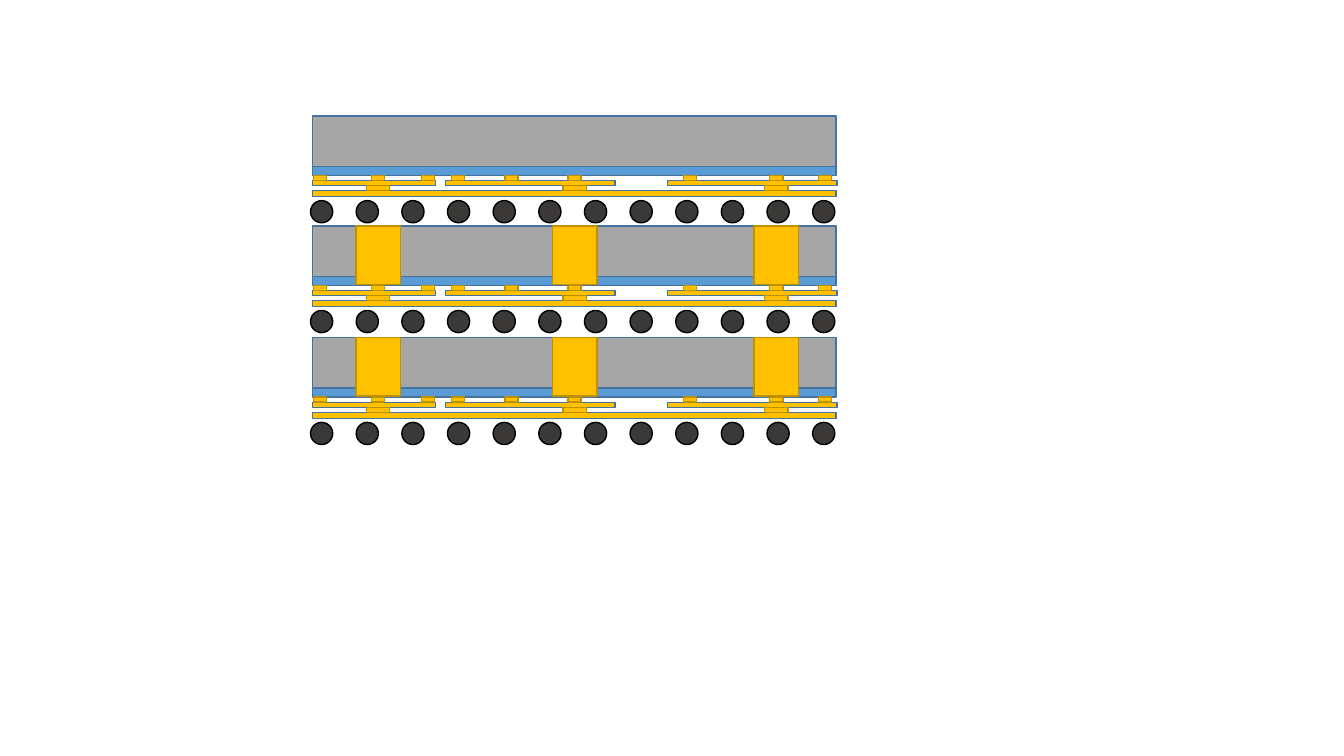
from dataclasses import dataclass

from pptx import Presentation
from pptx.dml.color import RGBColor
from pptx.enum.shapes import MSO_SHAPE
from pptx.util import Inches, Pt

RECT = MSO_SHAPE.RECTANGLE
OVAL = MSO_SHAPE.OVAL
BLANK_LAYOUT = 6


@dataclass(frozen=True)
class Theme:
    # Each style is a (fill, line) pair
    silicon: tuple = ("A6A6A6", "43739E")
    circuit: tuple = ("5B9BD5", "43739E")
    trace: tuple = ("FFC000", "43739E")
    copper: tuple = ("FFC000", "BF9000")
    solder: tuple = ("3B3838", "000000")
    line_width: float = 1


THEME = Theme()

# Stack of chips, in inches
STACK_LEFT, CHIP_WIDTH = 3.1, 5.19
TOP_CHIP, MIDDLE_CHIP, BOTTOM_CHIP = 1.15, 2.24, 3.35

# Parts of one chip, in inches from its top left corner
DIE_HEIGHT = 0.58
CIRCUIT_TOP, CIRCUIT_HEIGHT = 0.5, 0.09
PAD_TOP, TRACE_TOP, CONTACT_TOP, BASE_TOP = 0.59, 0.64, 0.69, 0.74
LAYER_HEIGHT, BASE_HEIGHT = 0.05, 0.06
TRACES = [(0, 1.22), (1.32, 1.68), (3.52, 1.68)]  # left, width
VIA_CENTRES = [0.65, 2.6, 4.6]
VIA_WIDTH, CONTACT_WIDTH, PAD_WIDTH = 0.44, 0.23, 0.13
SIDE_PADS = [0.01, 1.08, 1.38, 1.91, 3.68, 5.02]
BALL_COUNT, BALL_SIZE, BALL_TOP = 12, 0.22, 0.84
FIRST_BALL, LAST_BALL = -0.02, 4.96


def add_part(shapes, kind, left, top, width, height, style):
    part = shapes.add_shape(
        kind, Inches(left), Inches(top), Inches(width), Inches(height))
    fill, line = style
    part.shadow.inherit = False
    part.fill.solid()
    part.fill.fore_color.rgb = RGBColor.from_string(fill)
    part.line.color.rgb = RGBColor.from_string(line)
    part.line.width = Pt(THEME.line_width)


def add_chip(shapes, left, top, width, has_vias):
    def bar(x, y, bar_width, height, style):
        add_part(shapes, RECT, left + x, top + y, bar_width, height, style)

    # Die with its circuit layer
    bar(0, 0, width, DIE_HEIGHT, THEME.silicon)
    bar(0, CIRCUIT_TOP, width, CIRCUIT_HEIGHT, THEME.circuit)

    # Wiring below the die
    for x, trace_width in TRACES:
        bar(x, TRACE_TOP, trace_width, LAYER_HEIGHT, THEME.trace)
    bar(0, BASE_TOP, width, BASE_HEIGHT, THEME.trace)

    # Columns of via, pad and contact on a shared centre
    for centre in VIA_CENTRES:
        column = [(PAD_TOP, PAD_WIDTH, LAYER_HEIGHT),
                  (CONTACT_TOP, CONTACT_WIDTH, LAYER_HEIGHT)]
        if has_vias:
            column.insert(0, (0, VIA_WIDTH, DIE_HEIGHT))
        for y, part_width, height in column:
            bar(centre - part_width / 2, y, part_width, height, THEME.copper)

    # Pads between the columns
    for x in SIDE_PADS:
        bar(x, PAD_TOP, PAD_WIDTH, LAYER_HEIGHT, THEME.copper)

    # Row of solder balls
    pitch = (LAST_BALL - FIRST_BALL) / (BALL_COUNT - 1)
    for ball in range(BALL_COUNT):
        add_part(shapes, OVAL, left + FIRST_BALL + ball * pitch,
                 top + BALL_TOP, BALL_SIZE, BALL_SIZE, THEME.solder)


def main():
    deck = Presentation()
    deck.slide_width, deck.slide_height = Inches(13.33), Inches(7.5)
    slide = deck.slides.add_slide(deck.slide_layouts[BLANK_LAYOUT])

    # Two grouped chips with vias, then the solid chip on top
    for top in (MIDDLE_CHIP, BOTTOM_CHIP):
        chip = slide.shapes.add_group_shape()
        add_chip(chip.shapes, STACK_LEFT, top, CHIP_WIDTH, has_vias=True)
    add_chip(slide.shapes, STACK_LEFT, TOP_CHIP, CHIP_WIDTH, has_vias=False)

    deck.save("out.pptx")


if __name__ == "__main__":
    main()
